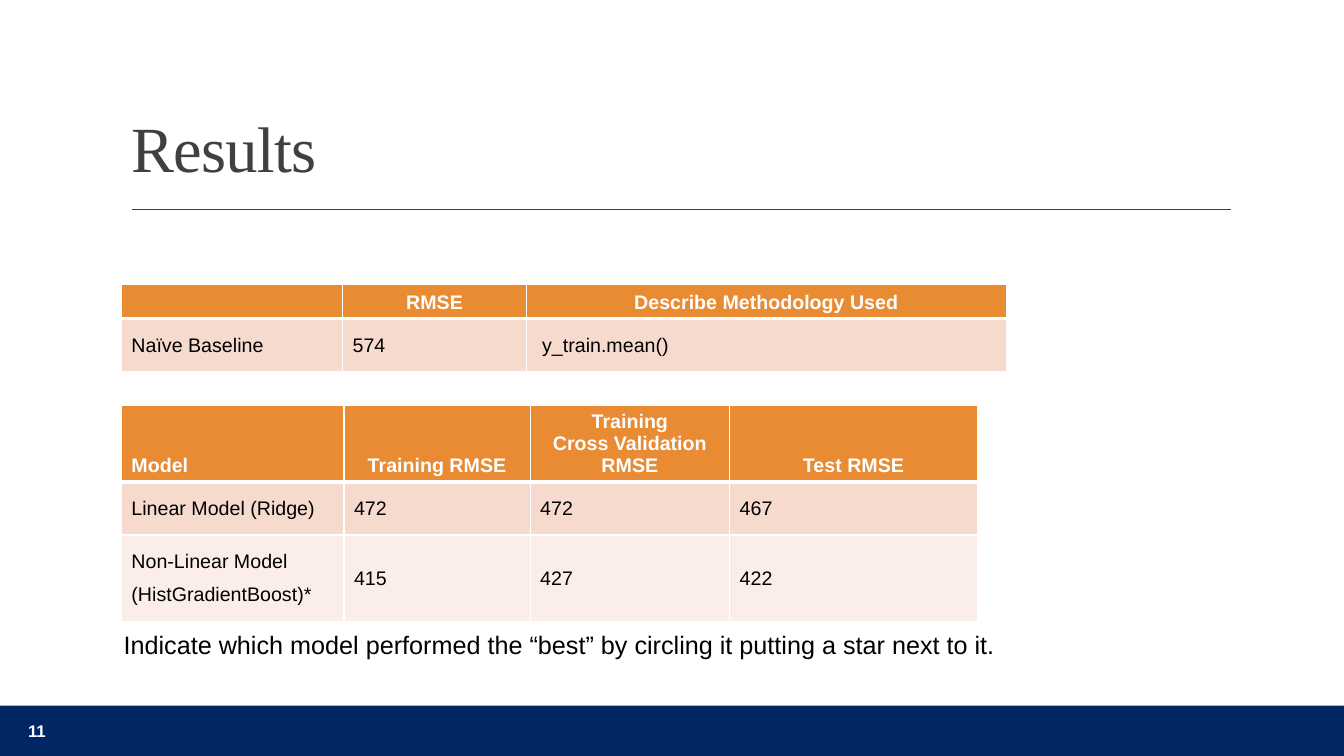
from lxml import etree
from pptx import Presentation
from pptx import util as u
from pptx.dml import color
from pptx.enum import shapes, text
from pptx.oxml import ns


def rgb(value):
    return color.RGBColor.from_string(value)


class ResultsPage:
    """Draws styled elements, measured in points, on one slide."""

    sans, serif = "Arial", "Times New Roman"
    navy, gray, white, black = "002664", "404040", "FFFFFF", "000000"
    header_fill = "E88B33"
    band_fills = ["F6DACE", "FBEEE8"]

    def __init__(self, deck):
        self.page = deck.slides.add_slide(deck.slide_layouts[5])

    def format_text(self, frame, size, ink, font=sans, bold=False,
                    align=text.PP_ALIGN.LEFT, spacing=1.0):
        for para in frame.paragraphs:
            para.alignment = align
            para.line_spacing = spacing
            for span in para.runs:
                span.font.name = font
                span.font.size = u.Pt(size)
                span.font.bold = bold
                span.font.color.rgb = rgb(ink)

    def title(self, words, left, top, width, height):
        box = self.page.shapes.title
        box.left, box.top = u.Pt(left), u.Pt(top)
        box.width, box.height = u.Pt(width), u.Pt(height)
        frame = box.text_frame
        frame.text = words
        frame.auto_size = text.MSO_AUTO_SIZE.NONE
        frame.vertical_anchor = text.MSO_ANCHOR.BOTTOM
        self.format_text(frame, 46, self.gray, self.serif, spacing=0.9)
        for span in frame.paragraphs[0].runs:
            span.font._element.set("spc", "-50")

    def bar(self, left, top, width, height):
        box = self.page.shapes.add_shape(
            shapes.MSO_SHAPE.RECTANGLE,
            u.Pt(left), u.Pt(top), u.Pt(width), u.Pt(height))
        box.shadow.inherit = False
        box.fill.solid()
        box.fill.fore_color.rgb = rgb(self.navy)
        box.line.fill.background()

    def rule(self, left, right, top):
        line = self.page.shapes.add_connector(
            shapes.MSO_CONNECTOR.STRAIGHT,
            u.Pt(left), u.Pt(top), u.Pt(right), u.Pt(top))
        line.line.color.rgb = rgb(self.gray)
        line.line.width = u.Pt(1)
        etree.SubElement(line._element.spPr, ns.qn("a:effectLst"))

    def label(self, words, left, top, width, height, size, ink, bold=False):
        box = self.page.shapes.add_textbox(
            u.Pt(left), u.Pt(top), u.Pt(width), u.Pt(height))
        frame = box.text_frame
        frame.word_wrap = True
        frame.vertical_anchor = text.MSO_ANCHOR.MIDDLE
        frame.text = words
        self.format_text(frame, size, ink, bold=bold)

    def borders(self, cell, bottom):
        properties = cell._tc.get_or_add_tcPr()
        for side, width in zip("LRTB", (1, 1, 1, bottom)):
            line = etree.SubElement(properties, ns.qn(f"a:ln{side}"), w=str(u.Pt(width)))
            fill = etree.SubElement(line, ns.qn("a:solidFill"))
            etree.SubElement(fill, ns.qn("a:srgbClr"), val=self.white)

    def cell(self, cell, words, header, align, fill):
        self.borders(cell, 3 if header else 1)
        cell.fill.solid()
        cell.fill.fore_color.rgb = rgb(fill)
        frame = cell.text_frame
        frame.text = words
        if not words:
            etree.SubElement(frame.paragraphs[0]._p, ns.qn("a:endParaRPr"), sz="1400")
        if header:
            cell.vertical_anchor = text.MSO_ANCHOR.BOTTOM
            self.format_text(frame, 14, self.white, bold=True, align=align)
        else:
            cell.vertical_anchor = text.MSO_ANCHOR.MIDDLE
            cell.margin_bottom = u.Pt(10.8)
            self.format_text(frame, 14, self.black, spacing=1.5)

    def table(self, rows, left, top, widths, heights):
        grid = self.page.shapes.add_table(
            len(rows), len(widths), u.Pt(left), u.Pt(top),
            u.Pt(sum(widths)), u.Pt(sum(heights))).table
        for column, width in zip(grid.columns, widths):
            column.width = u.Pt(width)
        for row, height in zip(grid.rows, heights):
            row.height = u.Pt(height)
        fills = [self.header_fill] + self.band_fills
        for r, values in enumerate(rows):
            for c, words in enumerate(values):
                align = text.PP_ALIGN.CENTER if c else text.PP_ALIGN.LEFT
                self.cell(grid.cell(r, c), words, r == 0, align, fills[r])


def main():
    deck = Presentation()
    deck.slide_width, deck.slide_height = u.Pt(960), u.Pt(540)
    results = ResultsPage(deck)
    results.bar(0, 504, 960, 36)
    results.rule(94.3, 879, 149.5)
    results.title("Results", 86.4, 22.3, 792, 114.5)
    results.table(
        [["", "RMSE", "Describe Methodology Used"],
         ["Naïve Baseline", "574", " y_train.mean()"]],
        86.7, 203.2, [158, 131.5, 342.5], [23, 37.5])
    results.table(
        [["Model", "Training RMSE", "Training\nCross Validation RMSE", "Test RMSE"],
         ["Linear Model (Ridge)", "472", "472", "467"],
         ["Non-Linear Model (HistGradientBoost)*", "415", "427", "422"]],
        86.7, 289.7, [159, 133, 142.5, 177], [54, 37.5, 61.5])
    results.label("Indicate which model performed the “best” by circling it "
                  "putting a star next to it.", 81.2, 445.5, 662, 29, 18, results.black)
    results.label("11", 13, 507.6, 61, 29, 12, results.white, bold=True)
    deck.save("out.pptx")


if __name__ == "__main__":
    main()
